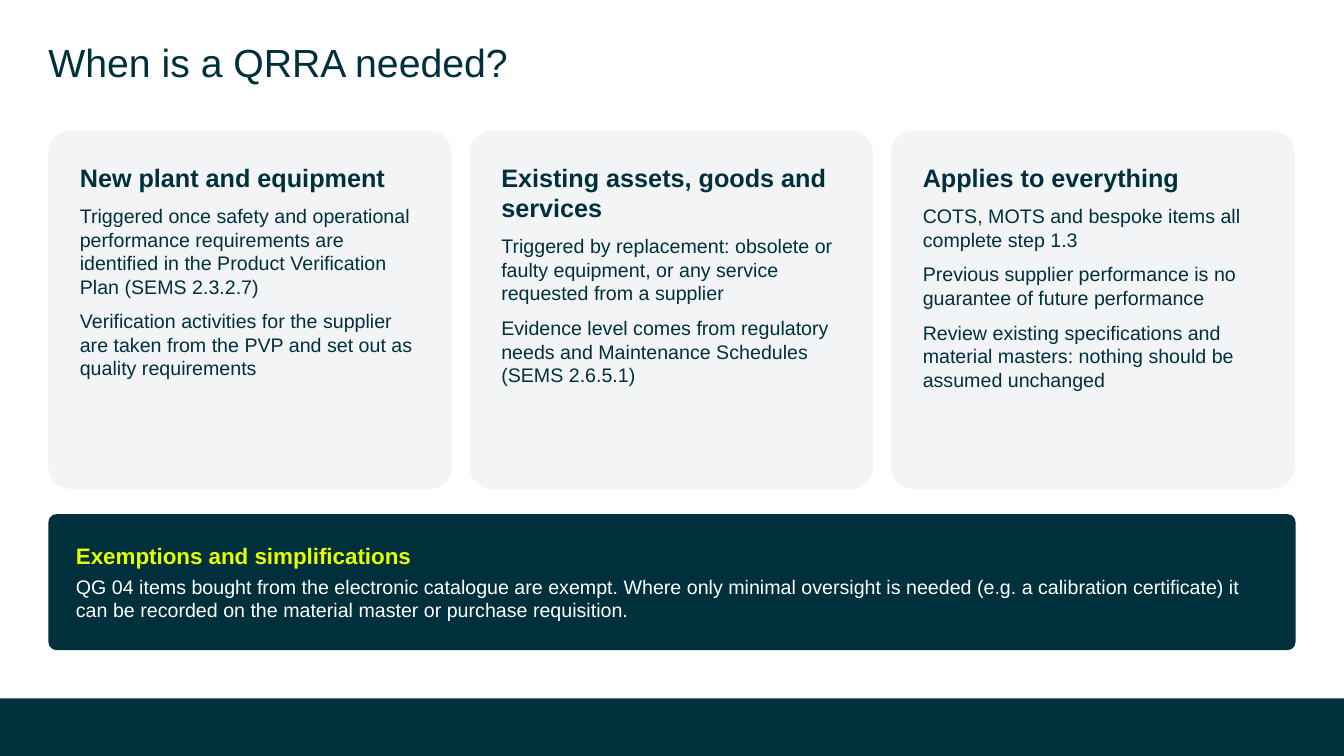
from pptx import Presentation
from pptx import util as u
from pptx.dml.color import RGBColor
from pptx.enum import shapes, text

TEAL = RGBColor(0x00, 0x30, 0x3C)
BAR_TEAL = RGBColor(0x00, 0x31, 0x3C)
PALE = RGBColor(0xF2, 0xF4, 0xF5)
LIME = RGBColor(0xE7, 0xFF, 0x00)
WHITE = RGBColor(0xFF, 0xFF, 0xFF)

TITLE = "When is a QRRA needed?"
CARDS = [
    ("New plant and equipment", [
        "Triggered once safety and operational performance requirements are identified "
        "in the Product Verification Plan (SEMS 2.3.2.7)",
        "Verification activities for the supplier are taken from the PVP and set out as "
        "quality requirements",
    ]),
    ("Existing assets, goods and services", [
        "Triggered by replacement: obsolete or faulty equipment, or any service requested "
        "from a supplier",
        "Evidence level comes from regulatory needs and Maintenance Schedules (SEMS 2.6.5.1)",
    ]),
    ("Applies to everything", [
        "COTS, MOTS and bespoke items all complete step 1.3",
        "Previous supplier performance is no guarantee of future performance",
        "Review existing specifications and material masters: nothing should be assumed "
        "unchanged",
    ]),
]
EXEMPTIONS = ("Exemptions and simplifications", [
    "QG 04 items bought from the electronic catalogue are exempt. Where only minimal "
    "oversight is needed (e.g. a calibration certificate) it can be recorded on the "
    "material master or purchase requisition.",
])

WIDTH, HEIGHT = 13.33, 7.5
MARGIN = 0.48
CARD_WIDTH, GAP = 4, 0.18
CARD_TOP, CARD_HEIGHT = 1.3, 3.55
BAND_TOP, BAND_HEIGHT = 5.1, 1.35
FOOTER_HEIGHT = 0.57
PADDING = 0.25
SIDES = ("left", "top", "right", "bottom")


def apply(target, values):
    for name, value in values.items():
        setattr(target, name, value)


def set_margins(frame, inches):
    apply(frame, {f"margin_{side}": u.Inches(inches) for side in SIDES})


def add_panel(slide, kind, box, color):
    panel = slide.shapes.add_shape(kind, *map(u.Inches, box))
    panel.shadow.inherit = False
    panel.fill.solid()
    panel.fill.fore_color.rgb = color
    panel.line.fill.background()
    return panel


def add_text_panel(slide, box, fill, content, anchor, gap, heading_look, body_look):
    panel = add_panel(slide, shapes.MSO_SHAPE.ROUNDED_RECTANGLE, box, fill)
    panel.adjustments[0] = 0.06
    frame = panel.text_frame
    apply(frame, {"word_wrap": True, "vertical_anchor": anchor})
    set_margins(frame, PADDING)
    heading, points = content
    for index, wording in enumerate([heading, *points]):
        paragraph = frame.add_paragraph() if index else frame.paragraphs[0]
        apply(paragraph, {"text": wording, "alignment": text.PP_ALIGN.LEFT,
                          "space_after": u.Pt(gap)})
        size, color = body_look if index else heading_look
        apply(paragraph.font, {"name": "Arial", "size": u.Pt(size), "bold": index == 0})
        paragraph.font.color.rgb = color


def add_title(slide):
    title = slide.shapes.title
    apply(title, {"left": u.Inches(MARGIN), "top": u.Inches(0.43),
                  "width": u.Inches(9.21), "height": u.Inches(0.37)})
    frame = title.text_frame
    apply(frame, {"word_wrap": True, "vertical_anchor": text.MSO_ANCHOR.TOP,
                  "auto_size": text.MSO_AUTO_SIZE.NONE})
    set_margins(frame, 0)
    paragraph = frame.paragraphs[0]
    apply(paragraph, {"text": TITLE, "alignment": text.PP_ALIGN.LEFT, "line_spacing": 0.9})
    apply(paragraph.font, {"name": "Arial", "size": u.Pt(28), "bold": False})
    paragraph.font.color.rgb = TEAL


def main():
    deck = Presentation()
    apply(deck, {"slide_width": u.Inches(WIDTH), "slide_height": u.Inches(HEIGHT)})
    slide = deck.slides.add_slide(deck.slide_layouts.get_by_name("Title Only"))
    add_panel(slide, shapes.MSO_SHAPE.RECTANGLE,
              (0, HEIGHT - FOOTER_HEIGHT, WIDTH, FOOTER_HEIGHT), BAR_TEAL)
    add_title(slide)
    for column, card in enumerate(CARDS):
        left = MARGIN + column * (CARD_WIDTH + GAP)
        add_text_panel(slide, (left, CARD_TOP, CARD_WIDTH, CARD_HEIGHT), PALE, card,
                       text.MSO_ANCHOR.TOP, 8, (18, TEAL), (14, TEAL))
    add_text_panel(slide, (MARGIN, BAND_TOP, WIDTH - 2 * MARGIN, BAND_HEIGHT), TEAL,
                   EXEMPTIONS, text.MSO_ANCHOR.MIDDLE, 4, (16, LIME), (14, WHITE))
    deck.save("out.pptx")


if __name__ == "__main__":
    main()
